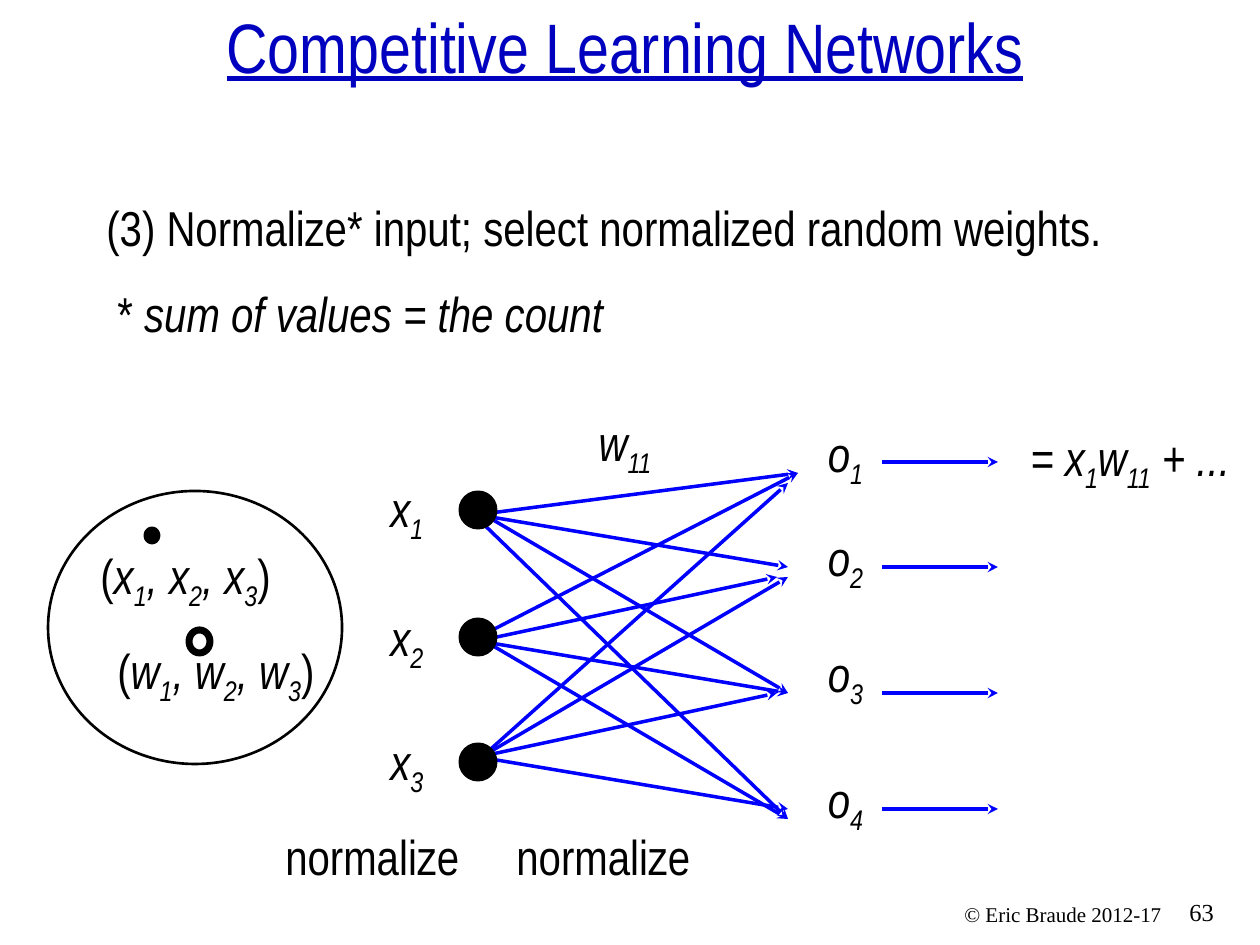
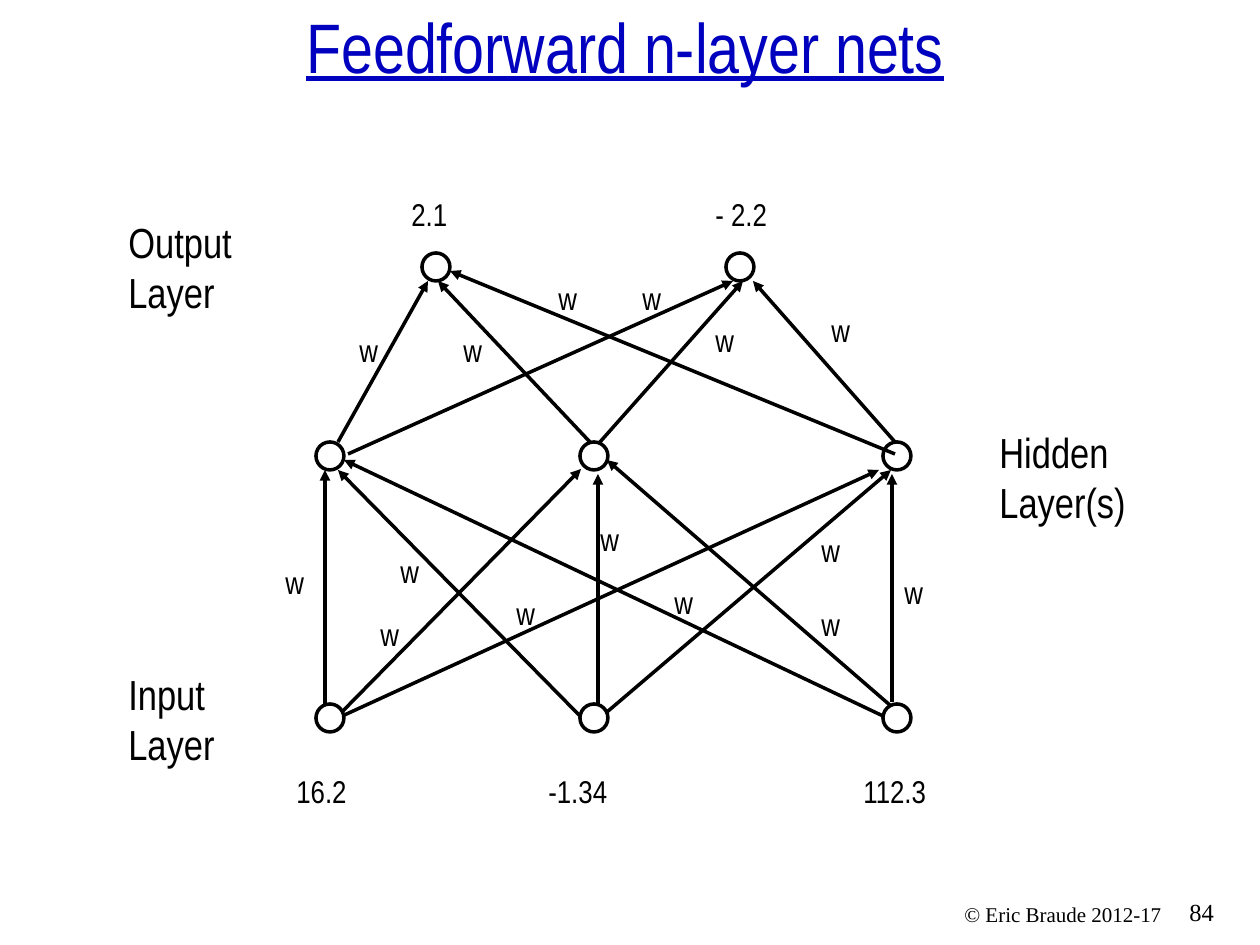
from dataclasses import dataclass

from lxml import etree
from pptx import Presentation
from pptx import util as u
from pptx.dml import color
from pptx.enum import shapes, text
from pptx.oxml import ns


@dataclass(frozen=True)
class Theme:
    sans: str = "Arial Narrow"
    serif: str = "Times New Roman"
    title: color.RGBColor = color.RGBColor(0x00, 0x00, 0xBF)
    blue: color.RGBColor = color.RGBColor(0x00, 0x00, 0xFF)
    black: color.RGBColor = color.RGBColor(0x00, 0x00, 0x00)
    white: color.RGBColor = color.RGBColor(0xFF, 0xFF, 0xFF)
    title_size: int = 40
    body_size: int = 28
    layer_size: int = 24
    value_size: int = 18
    number_size: int = 14
    footer_size: int = 12


theme = Theme()
PX = u.Inches(1) / 126
LEFT, CENTER, RIGHT = text.PP_ALIGN.LEFT, text.PP_ALIGN.CENTER, text.PP_ALIGN.RIGHT
TOP, MIDDLE = text.MSO_ANCHOR.TOP, text.MSO_ANCHOR.MIDDLE


def add_label(slide, content, box, size, font=theme.sans, align=LEFT, anchor=TOP, italic=False):
    shape = slide.shapes.add_textbox(*[round(length * PX) for length in box])
    frame = shape.text_frame
    frame.word_wrap = True
    frame.vertical_anchor = anchor
    paragraph = frame.paragraphs[0]
    paragraph.alignment = align
    for part in content.split("|"):
        run = paragraph.add_run()
        run.text = part.lstrip("_")
        run.font.name = font
        run.font.size = u.Pt(size)
        run.font.color.rgb = theme.black
        run.font.italic = italic and part not in ("(", ")", "* ")
        if part.startswith("_"):
            run.font._element.set("baseline", "-25000")


def add_oval(slide, box, line_width, fill=None):
    shape = slide.shapes.add_shape(
        shapes.MSO_SHAPE.OVAL, *[round(length * PX) for length in box])
    shape.shadow.inherit = False
    shape.line.color.rgb = theme.black
    shape.line.width = u.Pt(line_width)
    if fill is None:
        shape.fill.background()
    else:
        shape.fill.solid()
        shape.fill.fore_color.rgb = fill


presentation = Presentation()
presentation.slide_width = round(1260 * PX)
presentation.slide_height = round(945 * PX)

for title, number in [("Competitive Learning Networks", "63"), ("Feedforward n-layer nets", "84")]:
    slide = presentation.slides.add_slide(presentation.slide_layouts[5])
    placeholder = slide.shapes.title
    placeholder.left, placeholder.top = 0, round(26 * PX)
    placeholder.width, placeholder.height = round(1250 * PX), round(68 * PX)
    frame = placeholder.text_frame
    frame.text = title
    frame.auto_size = text.MSO_AUTO_SIZE.NONE
    frame.vertical_anchor = text.MSO_ANCHOR.BOTTOM
    paragraph = frame.paragraphs[0]
    paragraph.alignment = CENTER
    font = paragraph.runs[0].font
    font.name = theme.sans
    font.size = u.Pt(theme.title_size)
    font.color.rgb = theme.title
    font.underline = True
    add_label(slide, number, (1177, 891, 73, 42), theme.number_size, theme.serif)
    add_label(slide, "© Eric Braude 2012-17", (838, 895, 336, 38),
              theme.footer_size, theme.serif, RIGHT)

competitive, feedforward = presentation.slides

node_columns = (316, 580, 883)
for x, y in [(422, 253), (726, 253)] + [(x, 442) for x in node_columns]:
    add_oval(feedforward, (x, y, 28, 28), 2, theme.white)

output_rows = (462, 567, 693, 809)
competitive_arrows = [
    (483, 514, 798, 473), (473, 514, 788, 567), (483, 514, 788, 693), (473, 514, 788, 819),
    (473, 640, 798, 473), (483, 640, 777, 577), (473, 640, 788, 693), (483, 640, 788, 819),
    (483, 756, 788, 483), (483, 756, 788, 577), (483, 756, 777, 693), (473, 756, 788, 809),
] + [(882, y, 998, y) for y in output_rows]
feedforward_arrows = [
    (325, 706, 325, 470), (338, 716, 581, 469), (338, 718, 879, 470),
    (580, 716, 338, 470), (598, 716, 598, 474), (600, 718, 891, 470),
    (883, 716, 344, 460), (891, 706, 607, 460), (892, 702, 892, 474),
    (338, 442, 428, 281), (348, 454, 733, 281),
    (590, 442, 438, 281), (600, 442, 743, 281),
    (895, 454, 450, 271), (895, 442, 753, 281),
]
for slide, line_color, head, arrows in [
    (competitive, theme.blue, "stealth", competitive_arrows),
    (feedforward, theme.black, "triangle", feedforward_arrows),
]:
    for ends in arrows:
        connector = slide.shapes.add_connector(
            shapes.MSO_CONNECTOR.STRAIGHT, *[round(length * PX) for length in ends])
        connector.line.color.rgb = line_color
        connector.line.width = u.Pt(2)
        properties = connector._element.spPr
        etree.SubElement(properties.find(ns.qn("a:ln")), ns.qn("a:tailEnd"), type=head)
        etree.SubElement(properties, ns.qn("a:effectLst"))

add_label(competitive, "(3) Normalize* input; select normalized random weights.",
          (94, 191, 1072, 69), theme.body_size)
add_label(competitive, "* |sum of values = the count", (105, 266, 560, 94),
          theme.body_size, anchor=MIDDLE, italic=True)
for index, y in enumerate((472, 601, 725), 1):
    add_label(competitive, f"x|_{index}", (378, y, 84, 72), theme.body_size, italic=True)
for index, y in enumerate((410, 514, 630, 756), 1):
    add_label(competitive, f"o|_{index}", (809, y, 73, 94), theme.body_size,
              align=CENTER, anchor=MIDDLE, italic=True)
add_label(competitive, "w|_11", (575, 399, 100, 94), theme.body_size,
          align=CENTER, anchor=MIDDLE, italic=True)
add_label(competitive, "= x|_1|w|_11| + ...", (1018, 414, 242, 94), theme.body_size,
          anchor=MIDDLE, italic=True)
for x in (273, 504):
    add_label(competitive, "normalize", (x, 809, 252, 94), theme.body_size, anchor=MIDDLE)

for y in (494, 621, 746):
    add_oval(competitive, (462, y, 32, 32), 4, theme.black)
add_oval(competitive, (48, 491, 294, 273), 1.5)
add_oval(competitive, (147, 530, 10, 11), 4, theme.black)
add_oval(competitive, (189, 630, 21, 23), 4)
for name, box in [("x", (88, 539, 217, 72)), ("w", (105, 634, 242, 72))]:
    add_label(competitive, f"(|{name}|_1|, {name}|_2|, {name}|_3|)", box,
              theme.body_size, italic=True)

for layer, x, y, width in [
    ("Output Layer", 116, 210, 189),
    ("Hidden Layer(s)", 987, 420, 220),
    ("Input Layer", 116, 662, 189),
]:
    add_label(feedforward, layer, (x, y, width, 115), theme.layer_size)
for value, x, y in [
    ("2.1", 399, 189), ("- 2.2", 703, 189),
    ("16.2", 284, 766), ("-1.34", 536, 766), ("112.3", 851, 766),
]:
    add_label(feedforward, value, (x, y, 126, 50), theme.value_size)
for x, y in [
    (546, 273), (630, 273), (819, 305), (703, 315), (347, 325), (451, 325),
    (588, 514), (809, 525), (388, 546), (273, 557), (892, 567), (662, 577),
    (504, 588), (809, 599), (368, 609),
]:
    add_label(feedforward, "w", (x, y, 50, 50), theme.value_size)
for x in node_columns:
    add_oval(feedforward, (x, 704, 28, 28), 2, theme.white)

presentation.save("out.pptx")
